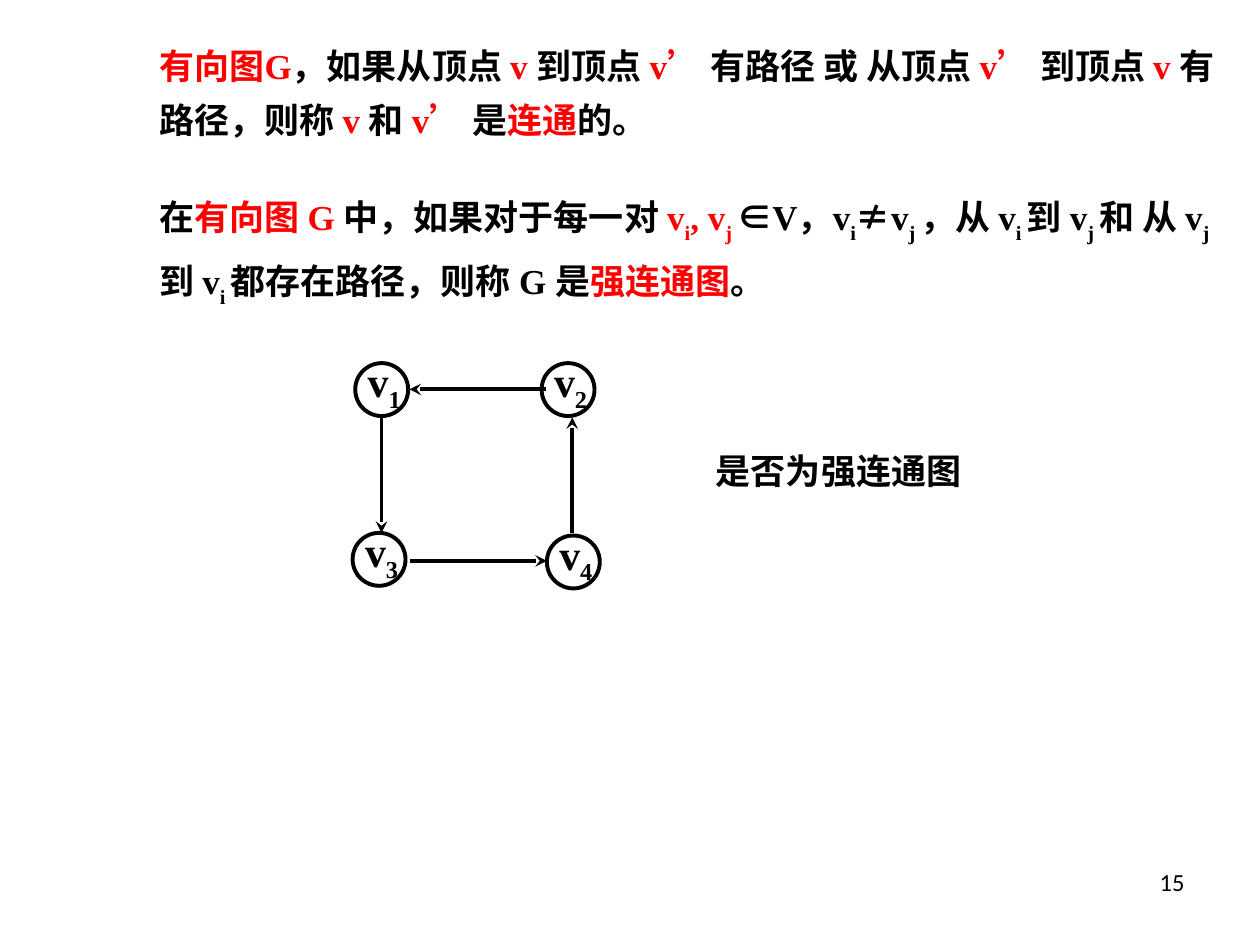
from lxml import etree
from pptx import Presentation
from pptx.dml.color import RGBColor
from pptx.enum.shapes import MSO_CONNECTOR, MSO_SHAPE
from pptx.enum.text import PP_ALIGN
from pptx.oxml.ns import qn
from pptx.util import Pt

STRAIGHT = MSO_CONNECTOR.STRAIGHT
OVAL = MSO_SHAPE.OVAL
RIGHT = PP_ALIGN.RIGHT

COLORS = {"black": "000000", "red": "FF0000"}
LATIN_FONT = "Times New Roman"
CHINESE_FONT = "Noto Sans CJK SC"
NUMBER_FONT = "Calibri"

NODE_SIZE = 30.25
LINE_WIDTH = 2.25
LABEL_RISE = 7.75

# Each run is (text, color, is subscript).
CONNECTED = [
    ("有向图", "red", False), ("G", "red", False),
    ("，如果从顶点 ", "black", False), ("v ", "red", False),
    ("到顶点 ", "black", False), ("v’ ", "red", False),
    ("有路径 或 从顶点 ", "black", False), ("v’ ", "red", False),
    ("到顶点 ", "black", False), ("v ", "red", False),
    ("有路径，则称 ", "black", False), ("v ", "red", False),
    ("和 ", "black", False), ("v’ ", "red", False),
    ("是", "black", False), ("连通", "red", False), ("的。", "black", False),
]
STRONGLY_CONNECTED = [
    ("在", "black", False), ("有向图 ", "red", False), ("G ", "red", False),
    ("中，如果对于每一对 ", "black", False),
    ("v", "red", False), ("i", "red", True),
    (", v", "red", False), ("j ", "red", True),
    ("∈", "black", False), ("V", "black", False), ("，", "black", False),
    ("v", "black", False), ("i", "black", True), ("≠", "black", False),
    ("v", "black", False), ("j ", "black", True), ("，从 ", "black", False),
    ("v", "black", False), ("i ", "black", True), ("到 ", "black", False),
    ("v", "black", False), ("j ", "black", True), ("和 从 ", "black", False),
    ("v", "black", False), ("j ", "black", True), ("到 ", "black", False),
    ("v", "black", False), ("i ", "black", True),
    ("都存在路径，则称 ", "black", False), ("G ", "black", False),
    ("是", "black", False), ("强连通图", "red", False), ("。", "black", False),
]
# Left and top of each vertex, in points.
VERTICES = {"1": (203, 207.5), "2": (309.5, 207.5), "3": (201.5, 304.5), "4": (312.5, 306)}
# Start and end of each edge; the arrowhead is at the end.
EDGES = [
    ((312, 222.5), (234, 222.5)),
    ((218, 238.5), (218, 304.5)),
    ((234.5, 320.5), (312.5, 320.5)),
    ((327, 304.5), (327, 238.5)),
]


def color(name):
    return RGBColor.from_string(COLORS[name])


def add_text(slide, box, runs, size, font=None, bold=True, baseline=-30,
             line_spacing=None, align=None):
    """Add a text box; without a font, each run's first letter decides it."""
    shape = slide.shapes.add_textbox(*(Pt(length) for length in box))
    frame = shape.text_frame
    frame.word_wrap = True
    paragraph = frame.paragraphs[0]
    if line_spacing:
        paragraph.line_spacing = line_spacing
    if align is not None:
        paragraph.alignment = align
    for text, color_name, is_subscript in runs:
        run = paragraph.add_run()
        run.text = text
        run.font.size = Pt(size)
        run.font.bold = bold
        run.font.color.rgb = color(color_name)
        run.font.name = font or (LATIN_FONT if text[0].isascii() else CHINESE_FONT)
        properties = run.font._element
        etree.SubElement(properties, qn("a:ea"), typeface=CHINESE_FONT)
        if is_subscript:
            properties.set("baseline", str(baseline * 1000))


def add_edge(slide, start, end):
    connector = slide.shapes.add_connector(
        STRAIGHT, *(Pt(length) for length in start + end))
    connector.line.color.rgb = color("black")
    connector.line.width = Pt(LINE_WIDTH)
    etree.SubElement(connector.line._get_or_add_ln(), qn("a:tailEnd"), type="stealth")
    etree.SubElement(connector._element.spPr, qn("a:effectLst"))


def add_vertex(slide, number, left, top):
    shape = slide.shapes.add_shape(
        OVAL, Pt(left), Pt(top), Pt(NODE_SIZE), Pt(NODE_SIZE))
    shape.shadow.inherit = False
    shape.fill.background()
    shape.line.color.rgb = color("black")
    shape.line.width = Pt(LINE_WIDTH)
    label = [("v", "black", False), (number, "black", True)]
    add_text(slide, (left, top - LABEL_RISE, 54, 40.5), label, 24,
             font=LATIN_FONT, baseline=-25)


def main():
    presentation = Presentation()
    presentation.slide_width = Pt(720)
    presentation.slide_height = Pt(540)
    slide = presentation.slides.add_slide(presentation.slide_layouts[6])

    add_text(slide, (84, 14.5, 618, 70), CONNECTED, 20, line_spacing=1.3)
    add_text(slide, (84, 99.5, 618, 80.5), STRONGLY_CONNECTED, 20, line_spacing=1.3)
    for start, end in EDGES:
        add_edge(slide, start, end)
    for number, (left, top) in VERTICES.items():
        add_vertex(slide, number, left, top)
    add_text(slide, (402, 253.5, 210, 31.5), [("是否为强连通图", "black", False)], 20,
             font=LATIN_FONT)
    add_text(slide, (516, 492, 168, 37.5), [("15", "black", False)], 14,
             font=NUMBER_FONT, bold=False, align=RIGHT)

    presentation.save("out.pptx")


if __name__ == "__main__":
    main()
